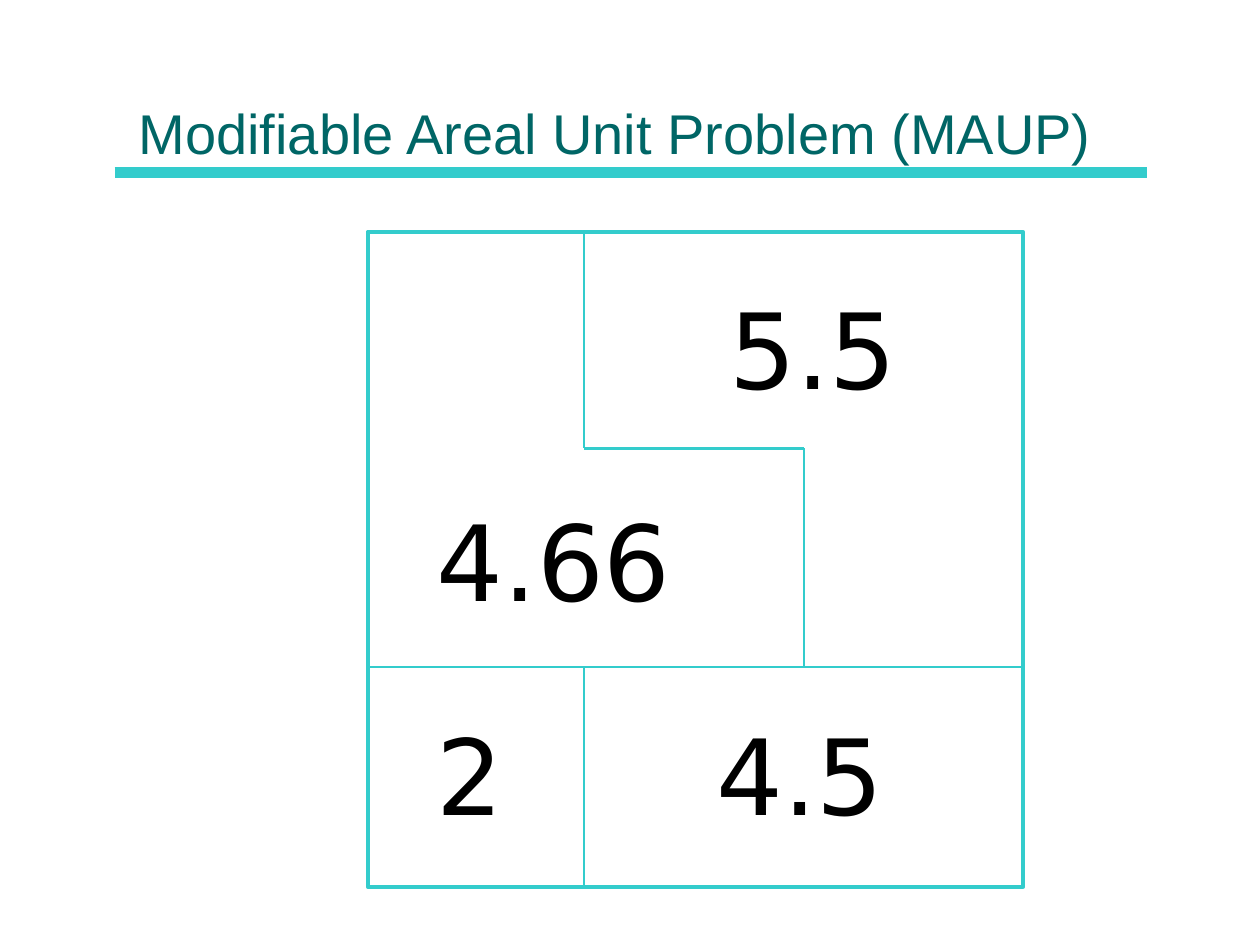
from lxml import etree
from pptx import Presentation
from pptx.dml.color import RGBColor
from pptx.enum.shapes import MSO_CONNECTOR, MSO_SHAPE
from pptx.enum.text import MSO_ANCHOR, MSO_AUTO_SIZE, PP_ALIGN
from pptx.oxml.ns import qn
from pptx.util import Pt

RECT, STRAIGHT = MSO_SHAPE.RECTANGLE, MSO_CONNECTOR.STRAIGHT
TOP, BOTTOM, LEFT = MSO_ANCHOR.TOP, MSO_ANCHOR.BOTTOM, PP_ALIGN.LEFT
NO_FIT, GROW = MSO_AUTO_SIZE.NONE, MSO_AUTO_SIZE.SHAPE_TO_FIT_TEXT
TURQUOISE = RGBColor(0x33, 0xCC, 0xCC)
TEAL = RGBColor(0x00, 0x66, 0x66)
BLACK = RGBColor(0, 0, 0)

# Content
TITLE = "Modifiable Areal Unit Problem (MAUP)"
TITLE_FONT = {"name": "Arial", "size": Pt(32)}
VALUE_FONT = {"name": "DejaVu Sans", "size": Pt(60)}
VALUES = [  # text, left, top, width
    ("4.66", 242.6, 280, 150.5),
    ("5.5", 409.7, 159, 112.3),
    ("4.5", 402.5, 402.5, 112.3),
    ("2", 242.6, 402.5, 52.6),
]
VALUE_HEIGHT = 79.2

# Three-by-three grid of areal units, in points
GRID_X = [210.2, 333.8, 459.4, 584.6]
GRID_Y = [132.4, 256.3, 381.2, 506.8]
BORDERS = [  # (column, row) of each end
    ((0, 2), (3, 2)),
    ((2, 2), (2, 1)),
    ((2, 1), (1, 1)),
    ((1, 0), (1, 1)),
    ((1, 2), (1, 3)),
]


def add_line(s, x1, y1, x2, y2, width):
    line = s.shapes.add_connector(STRAIGHT, Pt(x1), Pt(y1), Pt(x2), Pt(y2))
    line.line.color.rgb = TURQUOISE
    line.line.width = Pt(width)
    etree.SubElement(line._element.spPr, qn("a:effectLst"))


def write(sp, text, font, color, frame):
    tf = sp.text_frame
    for name, value in frame.items():
        setattr(tf, name, value)
    p = tf.paragraphs[0]
    p.alignment = LEFT
    r = p.add_run()
    r.text = text
    for name, value in font.items():
        setattr(r.font, name, value)
    r.font.color.rgb = color


prs = Presentation()
prs.slide_width, prs.slide_height = Pt(720), Pt(540)
s = prs.slides.add_slide(prs.slide_layouts[5])

# Title and rule
title = s.shapes.title
title.left, title.top, title.width, title.height = Pt(72), Pt(8.6), Pt(576), Pt(90)
write(title, TITLE, TITLE_FONT, TEAL,
      {"vertical_anchor": BOTTOM, "auto_size": NO_FIT, "word_wrap": True})
add_line(s, 65.5, 98.6, 655.2, 98.6, 6)

# Outer square
square = s.shapes.add_shape(RECT, Pt(GRID_X[0]), Pt(GRID_Y[0]),
                            Pt(GRID_X[-1] - GRID_X[0]), Pt(GRID_Y[-1] - GRID_Y[0]))
square.shadow.inherit = False
square.fill.background()
square.line.color.rgb = TURQUOISE
square.line.width = Pt(2.25)

# Borders between units
for (c1, r1), (c2, r2) in BORDERS:
    add_line(s, GRID_X[c1], GRID_Y[r1], GRID_X[c2], GRID_Y[r2], 1.5)

# Unit values
for text, left, top, width in VALUES:
    box = s.shapes.add_textbox(Pt(left), Pt(top), Pt(width), Pt(VALUE_HEIGHT))
    write(box, text, VALUE_FONT, BLACK,
          {"vertical_anchor": TOP, "auto_size": GROW, "word_wrap": False})

prs.save("out.pptx")
